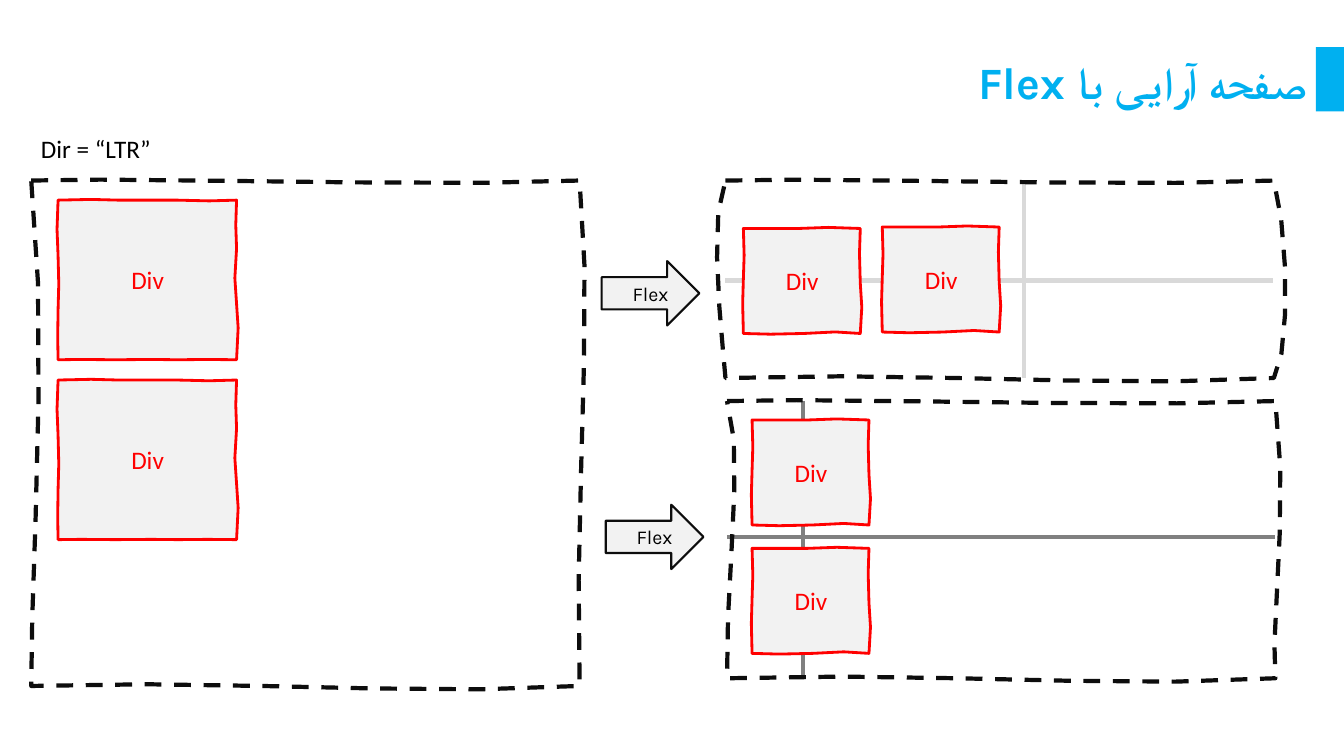
from lxml.etree import SubElement
from pptx import Presentation
from pptx.dml.color import RGBColor
from pptx.enum.dml import MSO_LINE
from pptx.enum.shapes import MSO_CONNECTOR, MSO_SHAPE
from pptx.enum.text import MSO_ANCHOR, MSO_AUTO_SIZE, PP_ALIGN
from pptx.oxml.ns import qn
from pptx.util import Pt


def color(value):
    return RGBColor.from_string(value)


def draw_sketch(left, top, curves, steps, line_color, line_width, fill_color=None):
    points = []
    x0, y0 = 0, 0
    for (x1, y1), (x2, y2), (x3, y3) in curves:
        for step in range(1, steps + 1):
            t = step / steps
            u = 1 - t
            x = u**3 * x0 + 3 * u * u * t * x1 + 3 * u * t * t * x2 + t**3 * x3
            y = u**3 * y0 + 3 * u * u * t * y1 + 3 * u * t * t * y2 + t**3 * y3
            points.append((Pt(left + x), Pt(top + y)))
        x0, y0 = x3, y3
    builder = slide.shapes.build_freeform(Pt(left), Pt(top))
    builder.add_line_segments(points[:-1], close=True)
    shape = builder.convert_to_shape()
    shape.shadow.inherit = False
    shape.line.color.rgb = color(line_color)
    shape.line.width = Pt(line_width)
    if fill_color:
        shape.fill.solid()
        shape.fill.fore_color.rgb = color(fill_color)
    else:
        shape.fill.background()
    return shape


presentation = Presentation()
presentation.slide_width = Pt(960)
presentation.slide_height = Pt(540)
slide = presentation.slides.add_slide(presentation.slide_layouts[5])

title = slide.shapes.title
title.left, title.top, title.width, title.height = Pt(460), Pt(35.3), Pt(480.3), Pt(46)
title.text_frame.auto_size = MSO_AUTO_SIZE.NONE
title.text_frame.vertical_anchor = MSO_ANCHOR.MIDDLE
paragraph = title.text_frame.paragraphs[0]
paragraph.alignment = PP_ALIGN.RIGHT
paragraph._p.get_or_add_pPr().set("rtl", "1")
run = paragraph.add_run()
run.text = "صفحه آرایی با Flex"
run.font.name = "Karla"
run.font.size = Pt(32)
run.font.bold = True
run.font.color.rgb = color("00B0F0")
SubElement(run._r.get_or_add_rPr(), qn("a:cs")).set("typeface", "Karla")

title_bar = slide.shapes.add_shape(MSO_SHAPE.RECTANGLE, Pt(940), Pt(33.6), Pt(20), Pt(46))
title_bar.shadow.inherit = False
title_bar.fill.solid()
title_bar.fill.fore_color.rgb = color("00B0F0")
title_bar.line.fill.background()

direction = slide.shapes.add_textbox(Pt(22.2), Pt(91.6), Pt(202), Pt(29))
direction.text_frame.word_wrap = True
run = direction.text_frame.paragraphs[0].add_run()
run.text = "Dir = “LTR”"
run.font.name = "Calibri"
run.font.size = Pt(18)
run.font.color.rgb = color("000000")

axes = [
    (731.5, 129, 731.5, 270, "D9D9D9"),
    (518, 200.3, 909.5, 200.3, "D9D9D9"),
    (573.8, 286.5, 573.8, 484.5, "808080"),
    (519.3, 383.5, 910.8, 383.5, "808080"),
]
for x1, y1, x2, y2, axis_color in axes:
    axis = slide.shapes.add_connector(MSO_CONNECTOR.STRAIGHT, Pt(x1), Pt(y1), Pt(x2), Pt(y2))
    axis.line.color.rgb = color(axis_color)
    axis.line.width = Pt(3)
    SubElement(axis._element.spPr, qn("a:effectLst"))

frame_width = 391.7
frames = [
    (22.3, 129, 361, [(401.8, 91), (387.4, 239)], [(-1.4, 307), (13, 106.5)]),
    (518.2, 129, 141, [(402.5, 38), (403, 125)], [(-1.4, 122), (-13, 25)]),
    (519.3, 286.5, 198, [(401.8, 76), (387.4, 169)], [(-1.4, 130), (13, 34.5)]),
]
for left, top, height, right_side, left_side in frames:
    curves = [
        [(44.5, -3), (304, 5), (frame_width, 0)],
        right_side + [(frame_width, height)],
        [(277.5, height + 7.5), (137.5, height - 5), (0, height)],
        left_side + [(0, 0)],
    ]
    frame = draw_sketch(left, top, curves, 5, "0D0D0D", 3)
    frame.line.dash_style = MSO_LINE.DASH

large_div = [
    [(18.7, -0.7), (30, -0.7), (43.2, 0)],
    [(57, 0.7), (67, -0.7), (85, 0)],
    [(102, 0.7), (115, 0.7), (127.5, 0)],
    [(126, 16.5), (127.5, 19.5), (127.5, 34.5)],
    [(126.5, 50.4), (125.3, 62), (127.5, 74)],
    [(129, 85.7), (129, 95), (127.5, 114)],
    [(115, 112), (98.6, 115.5), (85.7, 114)],
    [(73.5, 112.5), (62.6, 115), (41, 114)],
    [(19.5, 112.5), (10, 115), (0, 114)],
    [(0, 106.5), (-0.7, 90), (0, 78.5)],
    [(0, 67), (1.4, 53.3), (0, 39.6)],
    [(-2, 26), (0, 16.5), (0, 0)],
]
small_div = [
    [(19.5, -1.4), (28, 1.4), (39.5, 0)],
    [(50.5, -1.4), (70, -0.7), (83.5, 0)],
    [(83.5, 8), (82, 26.5), (83.5, 39)],
    [(85.7, 51), (84.2, 61), (83.5, 75)],
    [(72, 73.5), (60.5, 73.5), (43.2, 75)],
    [(26.6, 76.3), (10.8, 75), (0, 75)],
    [(-1.4, 57.6), (0, 48), (0, 36)],
    [(0.7, 24), (0.7, 15), (0, 0)],
]
arrow = [
    [(12, -0.7), (24.5, 0.7), (46.8, 0)],
    [(46, -3.6), (46.8, -8.6), (46.8, -11.5)],
    [(56, -2), (63.4, 7), (69.8, 11.5)],
    [(62.6, 18.7), (54.7, 26.6), (46.8, 34.5)],
    [(46.8, 31.7), (46, 26), (46.8, 23)],
    [(30, 22.3), (15, 25), (0, 23)],
    [(-0.7, 17.3), (0.7, 5.8), (0, 0)],
]
div_style = ("Div", "Calibri", 18, "FF0000", "FF0000", 2)
flex_style = ("Flex", "Karla", 14, "000000", "0D0D0D", 1.5)
boxes = [
    (large_div, 2, div_style, [(41.5, 143), (41.5, 271.5)]),
    (small_div, 2, div_style, [(531, 163.2), (630.2, 162.2), (537.2, 300), (537.2, 391.7)]),
    (arrow, 1, flex_style, [(429.8, 198), (432.7, 372)]),
]
for curves, steps, style, places in boxes:
    label, font_name, size, text_color, line_color, line_width = style
    for left, top in places:
        box = draw_sketch(left, top, curves, steps, line_color, line_width, "F2F2F2")
        box.text_frame.word_wrap = True
        box.text_frame.vertical_anchor = MSO_ANCHOR.MIDDLE
        paragraph = box.text_frame.paragraphs[0]
        paragraph.alignment = PP_ALIGN.CENTER
        run = paragraph.add_run()
        run.text = label
        run.font.name = font_name
        run.font.size = Pt(size)
        run.font.color.rgb = color(text_color)

presentation.save("out.pptx")
